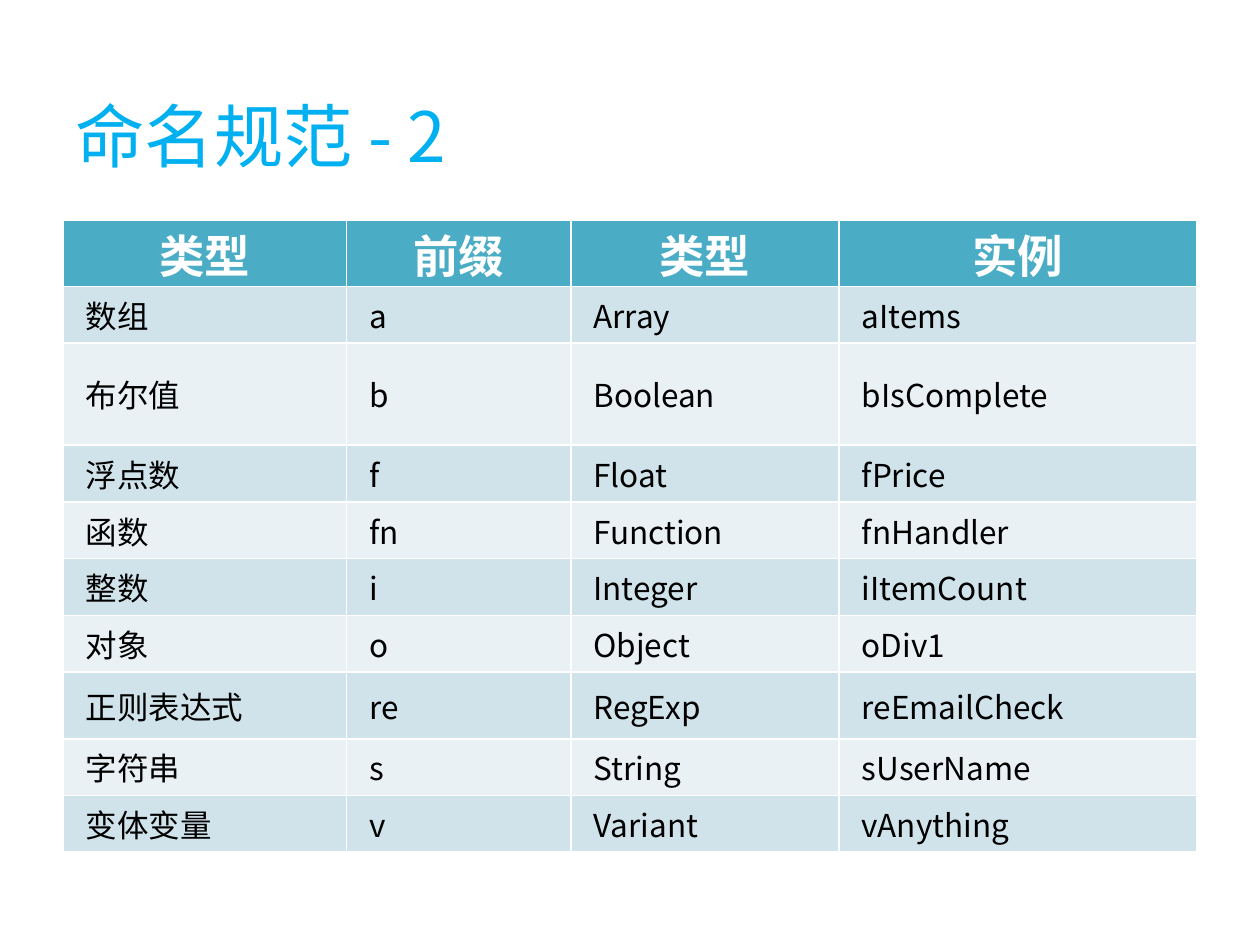
from lxml.etree import SubElement
from pptx import Presentation
from pptx.dml.color import RGBColor
from pptx.enum.text import MSO_ANCHOR, PP_ALIGN
from pptx.oxml.ns import qn
from pptx.util import Inches, Pt

FONT = "Noto Sans CJK SC"
TITLE_BLUE = RGBColor(0x00, 0xB0, 0xF0)
HEADER_TEAL = RGBColor(0x4B, 0xAC, 0xC6)
BAND_DARK = RGBColor(0xD0, 0xE3, 0xEA)
BAND_LIGHT = RGBColor(0xE9, 0xF1, 0xF5)
WHITE = RGBColor(0xFF, 0xFF, 0xFF)
BLACK = RGBColor(0x00, 0x00, 0x00)

HEADINGS = ("类型", "前缀", "类型", "实例")
NAMING_RULES = (
    ("数组", "a", "Array", "aItems"),
    ("布尔值", "b", "Boolean", "bIsComplete"),
    ("浮点数", "f", "Float", "fPrice"),
    ("函数", "fn", "Function", "fnHandler"),
    ("整数", "i", "Integer", "iItemCount"),
    ("对象", "o", "Object", "oDiv1"),
    ("正则表达式", "re", "RegExp", "reEmailCheck"),
    ("字符串", "s", "String", "sUserName"),
    ("变体变量", "v", "Variant", "vAnything"),
)
COLUMN_WIDTHS = (2.25, 1.78, 2.13, 2.84)
ROW_HEIGHT = 0.45
TALL_ROWS = {2: 0.81, 7: 0.53}


def format_paragraph(paragraph, size, color, align, bold=False):
    """Set the look of a paragraph, for Latin and East Asian letters alike."""
    paragraph.alignment = align
    font = paragraph.font
    font.name = FONT
    font.size = Pt(size)
    font.bold = bold
    font.color.rgb = color
    properties = paragraph._p.pPr.find(qn("a:defRPr"))
    SubElement(properties, qn("a:ea"), typeface=FONT)


def set_title(slide, text):
    title = slide.shapes.title
    title.left, title.top = Inches(0.5), Inches(0.68)
    title.width, title.height = Inches(9), Inches(0.78)
    title.text_frame.text = text
    title.text_frame.vertical_anchor = MSO_ANCHOR.MIDDLE
    format_paragraph(title.text_frame.paragraphs[0], 39.6, TITLE_BLUE, PP_ALIGN.LEFT)


def fill_cell(cell, text, background):
    cell.text = text
    cell.fill.solid()
    cell.fill.fore_color.rgb = background
    cell.vertical_anchor = MSO_ANCHOR.MIDDLE
    cell.margin_left = cell.margin_right = Inches(0.18)
    cell.margin_top = cell.margin_bottom = 0
    return cell.text_frame.paragraphs[0]


def add_naming_table(slide):
    """Add the table; its default style draws the white cell borders."""
    rows = (HEADINGS, *NAMING_RULES)
    table = slide.shapes.add_table(
        len(rows), len(HEADINGS), Inches(0.5), Inches(1.75), Inches(9), Inches(4.95)
    ).table
    table.horz_banding = False
    for column, width in zip(table.columns, COLUMN_WIDTHS):
        column.width = Inches(width)
    for index, row in enumerate(table.rows):
        row.height = Inches(TALL_ROWS.get(index, ROW_HEIGHT))

    for cell, heading in zip(table.rows[0].cells, HEADINGS):
        paragraph = fill_cell(cell, heading, HEADER_TEAL)
        format_paragraph(paragraph, 26, WHITE, PP_ALIGN.CENTER, bold=True)
    for index, rule in enumerate(NAMING_RULES):
        band = BAND_LIGHT if index % 2 else BAND_DARK
        for cell, text in zip(table.rows[index + 1].cells, rule):
            format_paragraph(fill_cell(cell, text, band), 18, BLACK, PP_ALIGN.LEFT)


def main():
    presentation = Presentation()
    presentation.slide_width, presentation.slide_height = Inches(10), Inches(7.5)
    slide = presentation.slides.add_slide(presentation.slide_layouts[5])
    set_title(slide, "命名规范 - 2")
    add_naming_table(slide)
    presentation.save("out.pptx")


if __name__ == "__main__":
    main()
